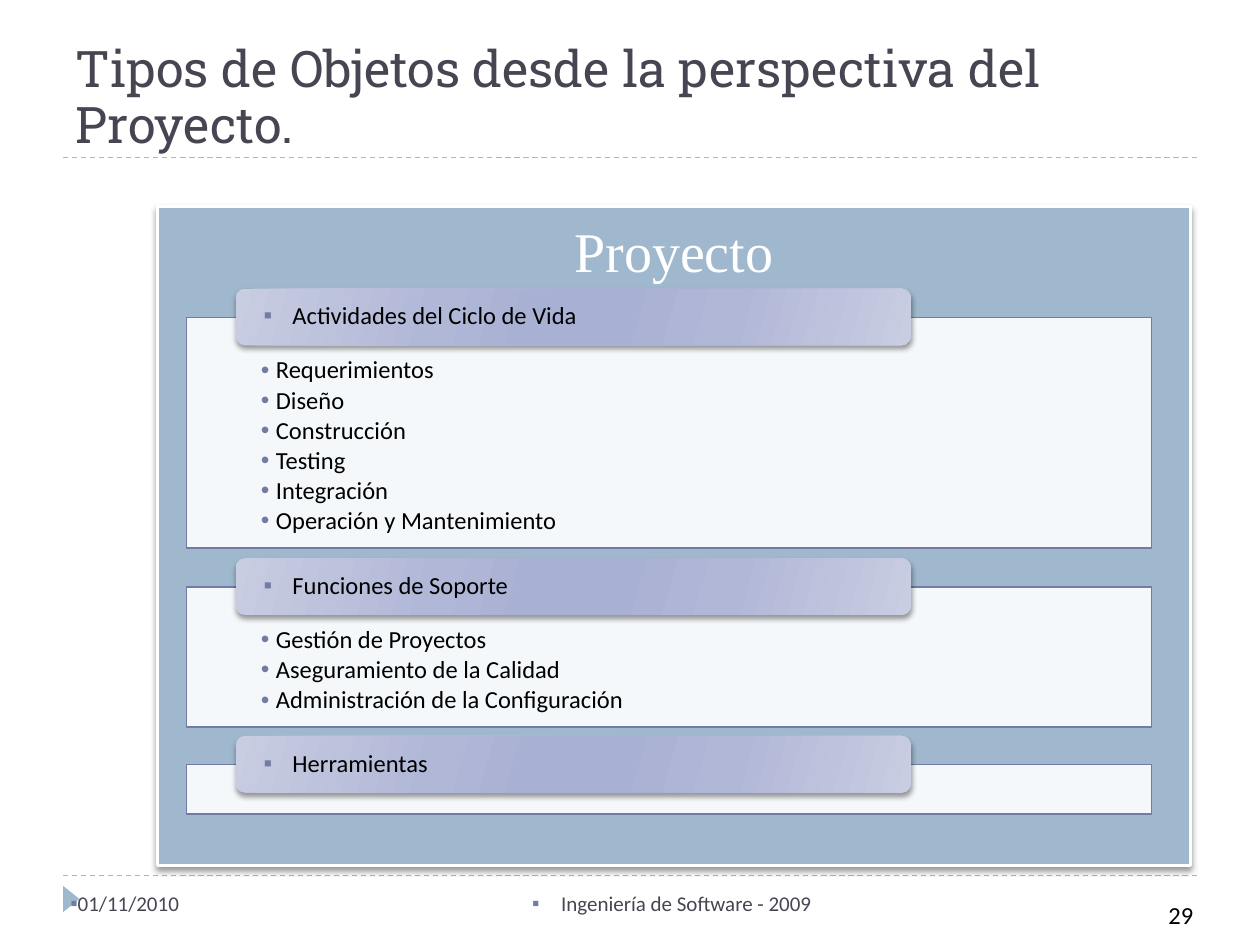
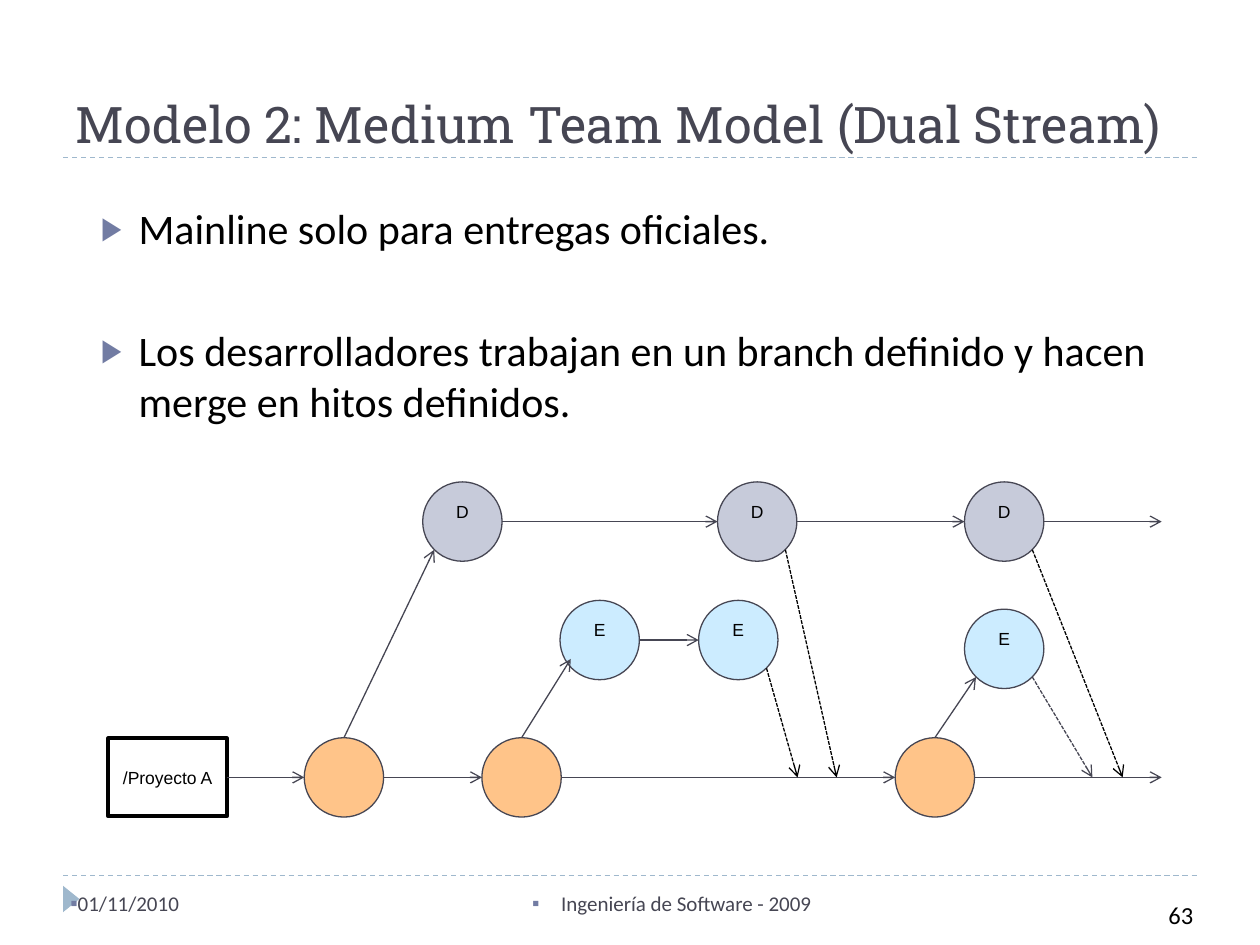
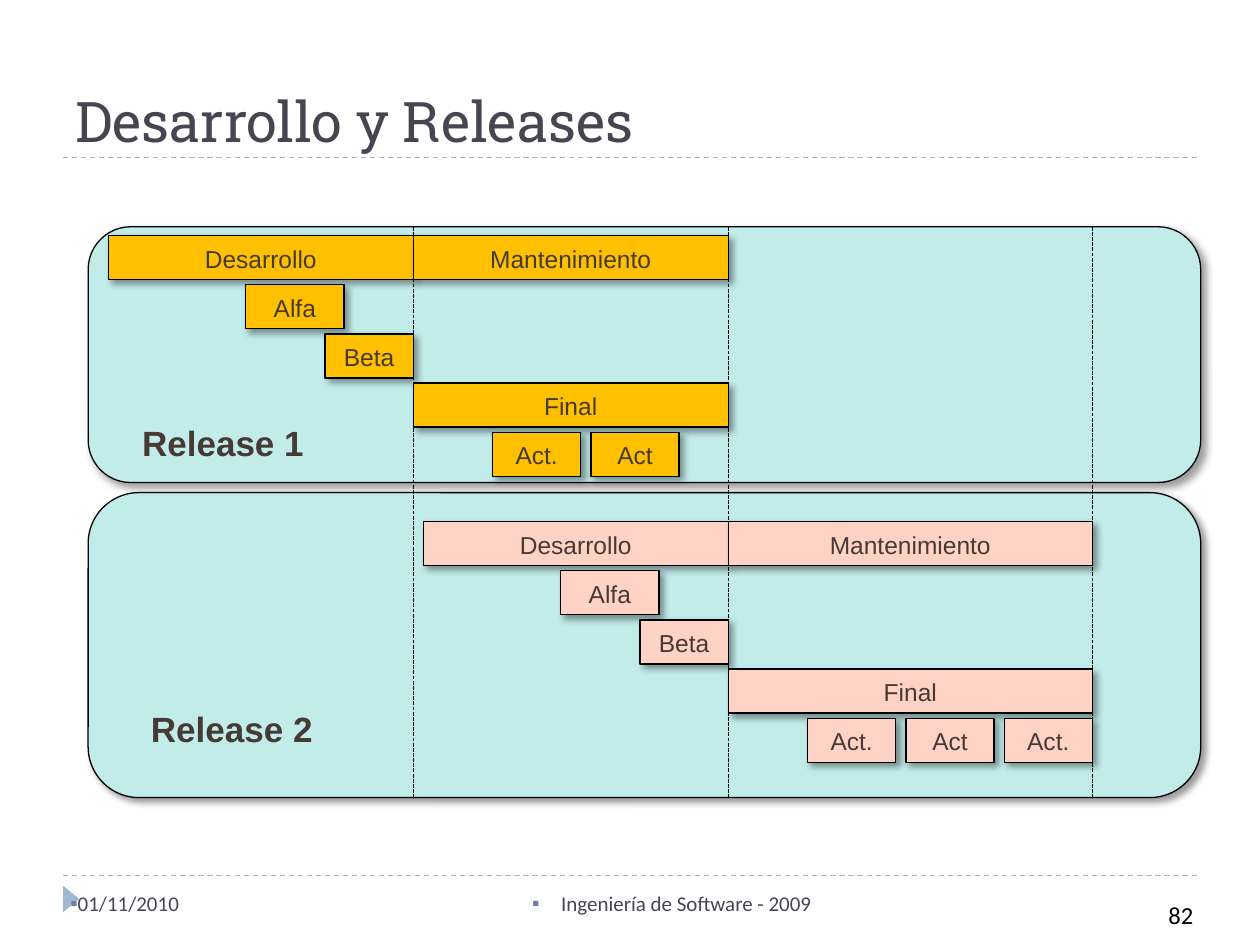
"""Builds three software engineering slides: project objects, dual stream model and releases."""
from lxml.etree import SubElement
from pptx import Presentation
from pptx.dml.color import RGBColor
from pptx.enum.dml import MSO_LINE
from pptx.enum.shapes import MSO_CONNECTOR, MSO_SHAPE
from pptx.enum.text import MSO_ANCHOR, MSO_AUTO_SIZE, PP_ALIGN
from pptx.oxml.ns import qn
from pptx.util import Inches, Pt

INK, BLACK, WHITE = "464653", "000000", "FFFFFF"
SKY, SLATE, BROWN = "9FB8CD", "727CA3", "473A35"
LEFT, CENTER, RIGHT = PP_ALIGN.LEFT, PP_ALIGN.CENTER, PP_ALIGN.RIGHT
TOP, MIDDLE, BOTTOM = MSO_ANCHOR.TOP, MSO_ANCHOR.MIDDLE, MSO_ANCHOR.BOTTOM
INSETS = (0.1, 0.05, 0.1, 0.05)
SOFT_SHADOW, CORNER_SHADOW = (3, 2, 90), (4, 3, 45)

DATE, COURSE = "01/11/2010", "Ingeniería de Software - 2009"

PROJECT_TITLE = "Tipos de Objetos desde la perspectiva del Proyecto."
PROJECT_GROUPS = [
    ("Actividades del Ciclo de Vida", 2.52, 1.83,
     ["Requerimientos", "Diseño", "Construcción", "Testing", "Integración",
      "Operación y Mantenimiento"]),
    ("Funciones de Soporte", 4.66, 1.11,
     ["Gestión de Proyectos", "Aseguramiento de la Calidad", "Administración de la Configuración"]),
    ("Herramientas", 6.07, 0.39, []),
]
BAR_STOPS = [(0, "C9CDE2"), (30, "B1B7D7"), (45, "A8B0D3"),
             (55, "A8B0D3"), (73, "B1B7D7"), (100, "C9CDE2")]

STREAM_TITLE = "Modelo 2: Medium Team Model (Dual Stream)"
STREAM_POINTS = ["Mainline solo para entregas oficiales.",
                 "Los desarrolladores trabajan en un branch definido y hacen merge en hitos definidos."]
NODE_SIZE = 0.63
NODE_FILLS = {"M": "FFC489", "D": "C7CBDA", "E": "CCECFF"}
NODES = {
    "M1": (2.73, 6.17), "M2": (4.14, 6.17), "M3": (7.42, 6.17),
    "D1": (3.67, 4.14), "D2": (6.01, 4.14), "D3": (7.97, 4.14),
    "E1": (4.76, 5.08), "E2": (5.86, 5.08), "E3": (7.97, 5.15),
}
SITES = {"top": (0, -1), "left": (-1, 0), "right": (1, 0),
         "lower left": (-0.71, 0.71), "lower right": (0.71, 0.71)}
FLOWS = [
    ((1.8, 6.17), ("M1", "left")), (("M1", "right"), ("M2", "left")),
    (("M2", "right"), ("M3", "left")), (("M3", "right"), (9.22, 6.17)),
    (("D1", "right"), ("D2", "left")), (("D2", "right"), ("D3", "left")),
    (("D3", "right"), (9.22, 4.14)), (("E1", "right"), ("E2", "left")),
    (("M1", "top"), ("D1", "lower left")), (("M2", "top"), (4.53, 5.23)),
    (("M3", "top"), ("E3", "lower left")),
]
MERGES = [("E2", 6.33, BLACK), ("D2", 6.64, BLACK), ("E3", 8.67, INK), ("D3", 8.91, BLACK)]

RELEASES_TITLE = "Desarrollo y Releases"
MILESTONES = [3.28, 5.78, 8.67]
RELEASES = [
    {"name": "Release 1", "name_at": (1.02, 3.28), "panel": (1.8, 2.03), "fill": "FFC000",
     "top": 1.87, "launch": 3.28, "end": 5.78, "updates": ["Act.", "Act"]},
    {"name": "Release 2", "name_at": (1.09, 5.55), "panel": (3.91, 2.42), "fill": "FED2C4",
     "top": 4.14, "launch": 5.78, "end": 8.67, "updates": ["Act.", "Act", "Act."]},
]


def rgb(color):
    """Turn a hex string into a colour."""
    return RGBColor.from_string(color)


def add_xml(parent, tag, **attributes):
    """Append a DrawingML element."""
    return SubElement(parent, qn(tag), attributes)


def write(holder, lines, size, color=BLACK, font="Calibri", align=LEFT, anchor=TOP,
          insets=INSETS, spacing=1.0, before=0, after=0, bold=False, wrap=True,
          bullet=None, bullet_size=100, indent=0):
    """Fill a shape with formatted paragraphs."""
    frame = holder.text_frame
    frame.text = "\n".join(lines)
    frame.auto_size = MSO_AUTO_SIZE.NONE
    frame.word_wrap = wrap
    frame.vertical_anchor = anchor
    frame.margin_left, frame.margin_top, frame.margin_right, frame.margin_bottom = map(Inches, insets)
    for paragraph in frame.paragraphs:
        paragraph.alignment = align
        paragraph.line_spacing = spacing
        paragraph.space_before, paragraph.space_after = Pt(before), Pt(after)
        for run in paragraph.runs:
            run.font.size, run.font.name, run.font.bold = Pt(size), font, bold
            run.font.color.rgb = rgb(color)
        if bullet:
            properties = paragraph._p.get_or_add_pPr()
            properties.set("marL", str(Inches(indent)))
            properties.set("indent", str(-Inches(indent)))
            add_xml(add_xml(properties, "a:buClr"), "a:srgbClr", val=SLATE)
            add_xml(properties, "a:buSzPct", val=str(bullet_size * 1000))
            add_xml(properties, "a:buFont", typeface="Arial")
            add_xml(properties, "a:buChar", char=bullet)


def place(holder, left, top, width, height):
    """Move and size a placeholder."""
    holder.left, holder.top, holder.width, holder.height = map(Inches, (left, top, width, height))


def draw(slide, kind, box, fill=None, line=None, weight=0.75, shadow=None):
    """Add a preset shape with its fill, outline and shadow."""
    shape = slide.shapes.add_shape(kind, *map(Inches, box))
    if fill:
        shape.fill.solid()
        shape.fill.fore_color.rgb = rgb(fill)
    else:
        shape.fill.background()
    if line:
        shape.line.color.rgb = rgb(line)
        shape.line.width = Pt(weight)
    else:
        shape.line.fill.background()
    shape.shadow.inherit = False
    if shadow:
        blur, distance, angle = shadow
        effects = shape.element.spPr.find(qn("a:effectLst"))
        outer = add_xml(effects, "a:outerShdw", blurRad=str(Pt(blur)), dist=str(Pt(distance)),
                        dir=str(angle * 60000), algn="tl", rotWithShape="0")
        add_xml(add_xml(outer, "a:srgbClr", val=BLACK), "a:alpha", val="40000")
    return shape


def connect(slide, start, end, color=INK, dash=None, arrow=False):
    """Add a straight line or arrow."""
    connector = slide.shapes.add_connector(MSO_CONNECTOR.STRAIGHT, *map(Inches, (*start, *end)))
    connector.line.color.rgb = rgb(color)
    connector.line.width = Pt(0.75)
    if dash:
        connector.line.dash_style = dash
    properties = connector.element.spPr
    if arrow:
        add_xml(properties.find(qn("a:ln")), "a:tailEnd", type="arrow")
    add_xml(properties, "a:effectLst")


def add_text(slide, box, lines, size, **style):
    """Add a text box."""
    write(slide.shapes.add_textbox(*map(Inches, box)), lines, size, **style)


def start_slide(deck, layout, title, number, title_size=28.8):
    """Add a slide with the shared title, rules and footer."""
    slide = deck.slides.add_slide(deck.slide_layouts[layout])
    for height in (6.95, 1.25):
        connect(slide, (0.5, height), (9.5, height), SKY, MSO_LINE.DASH)
    draw(slide, MSO_SHAPE.ISOSCELES_TRIANGLE, (0.46, 7.07, 0.21, 0.13), SKY).rotation = 90
    place(slide.shapes.title, 0.5, 0.17, 9, 1.08)
    write(slide.shapes.title, [title], title_size, INK, "Roboto Slab", anchor=BOTTOM,
          insets=(0.1, 0.05, 0.1, 0.02), spacing=0.93)
    add_text(slide, (0.46, 7.02, 2.33, 0.4), [DATE], 12, color=INK, bullet="▪")
    add_text(slide, (3.37, 7.02, 3.17, 0.4), [COURSE], 12, color=INK, align=RIGHT,
             bullet="▪", indent=0.23)
    add_text(slide, (7.66, 7.09, 1.91, 0.33), [str(number)], 14, align=RIGHT)
    return slide


def build_project(deck):
    """Show the kinds of objects in a project."""
    slide = start_slide(deck, 5, PROJECT_TITLE, 29)
    project = draw(slide, MSO_SHAPE.RECTANGLE, (1.25, 1.64, 8.2, 5.23), SKY, WHITE, 2, SOFT_SHADOW)
    write(project, ["Proyecto"], 32, WHITE, "Times New Roman", CENTER, spacing=1.05)
    for heading, top, height, items in PROJECT_GROUPS:
        panel = draw(slide, MSO_SHAPE.RECTANGLE, (1.48, top, 7.66, height), WHITE, SLATE)
        panel_color = panel.element.spPr.find(qn("a:solidFill")).find(qn("a:srgbClr"))
        add_xml(panel_color, "a:alpha", val="90000")
        if items:
            write(panel, items, 14, insets=(0.59, 0.32, 0.59, 0.11), spacing=0.9, after=2.1,
                  bullet="•", indent=0.12)
        bar = draw(slide, MSO_SHAPE.ROUNDED_RECTANGLE, (1.87, top - 0.23, 5.36, 0.45),
                   shadow=SOFT_SHADOW)
        bar.fill.gradient()
        bar.fill.gradient_angle = 344
        stops = bar.element.spPr.find(qn("a:gradFill")).find(qn("a:gsLst"))
        stops.clear()
        for position, color in BAR_STOPS:
            add_xml(add_xml(stops, "a:gs", pos=str(position * 1000)), "a:srgbClr", val=color)
        write(bar, [heading], 14, anchor=MIDDLE, insets=(0.2, 0, 0.2, 0), spacing=0.9,
              bullet="▪", indent=0.23)


def locate(end):
    """Find the point of a flow end, given as a node site or as coordinates."""
    if end[0] not in NODES:
        return end
    node, site = end
    return tuple(middle + NODE_SIZE / 2 * step for middle, step in zip(NODES[node], SITES[site]))


def build_stream(deck):
    """Show the dual stream branching model."""
    slide = start_slide(deck, 1, STREAM_TITLE, 63)
    points = slide.placeholders[1]
    place(points, 0.7, 1.56, 8.83, 5)
    write(points, STREAM_POINTS, 24, before=6, bullet="▶", bullet_size=76, indent=0.3)
    points.text_frame.paragraphs[1].space_before = Pt(41)
    origin = draw(slide, MSO_SHAPE.RECTANGLE, (0.86, 5.86, 0.94, 0.62), line=BLACK, weight=2.25)
    write(origin, ["/Proyecto A"], 10, font="Arial", align=CENTER, anchor=MIDDLE, wrap=False)
    for name, (x, y) in NODES.items():
        branch = name[0]
        node = draw(slide, MSO_SHAPE.OVAL, (x - NODE_SIZE / 2, y - NODE_SIZE / 2, NODE_SIZE, NODE_SIZE),
                    NODE_FILLS[branch], INK)
        if branch != "M":
            write(node, [branch], 10, font="Arial", align=CENTER, spacing=1.05)
    for start, end in FLOWS:
        connect(slide, locate(start), locate(end), arrow=True)
    for node, x, color in MERGES:
        connect(slide, locate((node, "lower right")), (x, 6.17), color, MSO_LINE.SQUARE_DOT, True)


def release_stages(release):
    """List label, row, left and width of each stage of a release."""
    launch, span = release["launch"], release["end"] - release["launch"]
    stages = [("Desarrollo", 0, launch - 2.42, 2.42), ("Mantenimiento", 0, launch, span),
              ("Alfa", 1, launch - 1.33, 0.78), ("Beta", 2, launch - 0.7, 0.7),
              ("Final", 3, launch, span)]
    updates = [(label, 4, launch + 0.63 + 0.78 * index, 0.7)
               for index, label in enumerate(release["updates"])]
    return stages + updates


def build_releases(deck):
    """Show the overlapping stages of two releases."""
    slide = start_slide(deck, 5, RELEASES_TITLE, 82, 32)
    for release in reversed(RELEASES):
        top, height = release["panel"]
        draw(slide, MSO_SHAPE.ROUNDED_RECTANGLE, (0.7, top, 8.83, height), "C2ECEA", BLACK,
             shadow=CORNER_SHADOW)
    for release in RELEASES:
        for label, row, left, width in release_stages(release):
            stage = draw(slide, MSO_SHAPE.RECTANGLE,
                         (left, release["top"] + 0.39 * row, width, 0.35),
                         release["fill"], BLACK, shadow=CORNER_SHADOW)
            write(stage, [label], 14, BROWN, "Arial", CENTER, MIDDLE, spacing=1.05)
        add_text(slide, (*release["name_at"], 1.5, 0.45), [release["name"]], 20, color=BROWN,
                 font="Arial", align=CENTER, anchor=MIDDLE, spacing=1.05, bold=True, wrap=False)
    for x in MILESTONES:
        connect(slide, (x, 1.8), (x, 6.33), BLACK, MSO_LINE.SQUARE_DOT)


def main():
    """Build and save the deck."""
    deck = Presentation()
    deck.slide_width, deck.slide_height = Inches(10), Inches(7.5)
    build_project(deck)
    build_stream(deck)
    build_releases(deck)
    deck.save("out.pptx")


if __name__ == "__main__":
    main()
